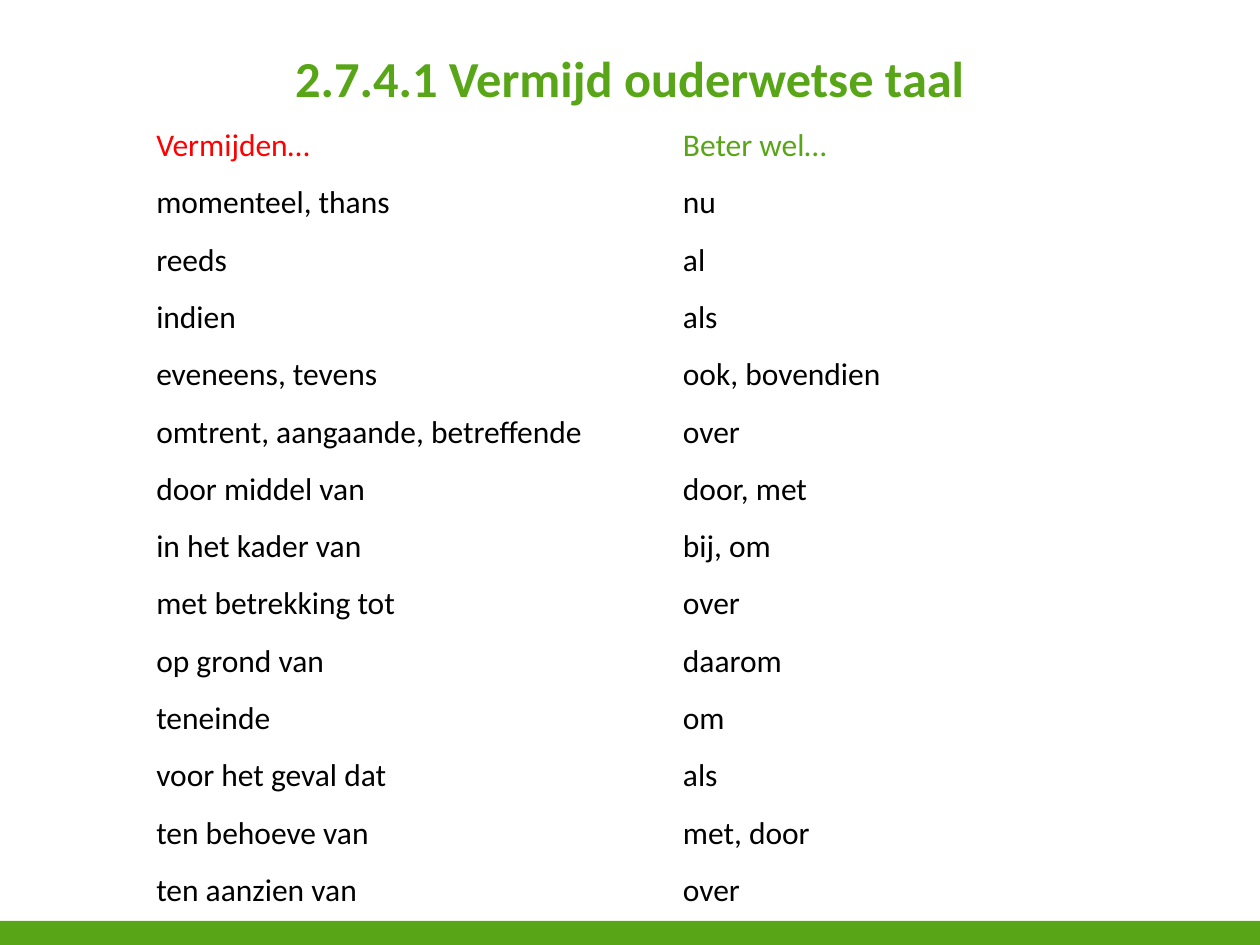
from lxml import etree
from pptx import Presentation
from pptx.dml.color import RGBColor
from pptx.enum.shapes import MSO_SHAPE
from pptx.enum.text import MSO_ANCHOR, PP_ALIGN
from pptx.oxml.ns import qn
from pptx.util import Inches, Pt

RECT = MSO_SHAPE.RECTANGLE
MIDDLE = MSO_ANCHOR.MIDDLE
CENTER = PP_ALIGN.CENTER
LEFT = PP_ALIGN.LEFT
TITLE_ONLY = 5
FONT = "Calibri"
COLORS = {"green": "58A618", "red": "FF0000", "black": "000000", "white": "FFFFFF"}

WORDS = [
    ("Vermijden…", "Beter wel…"),
    ("momenteel, thans", "nu"),
    ("reeds", "al"),
    ("indien", "als"),
    ("eveneens, tevens", "ook, bovendien"),
    ("omtrent, aangaande, betreffende", "over"),
    ("door middel van", "door, met"),
    ("in het kader van", "bij, om"),
    ("met betrekking tot", "over"),
    ("op grond van", "daarom"),
    ("teneinde", "om"),
    ("voor het geval dat", "als"),
    ("ten behoeve van", "met, door"),
    ("ten aanzien van", "over"),
]


def rgb(name):
    return RGBColor.from_string(COLORS[name])


def write(tf, text, size, color, bold=False, align=LEFT):
    p = tf.paragraphs[0]
    p.alignment = align
    r = p.add_run()
    r.text = text
    r.font.name = FONT
    r.font.size = Pt(size)
    r.font.bold = bold
    r.font.color.rgb = rgb(color)


def add_bar(s):
    sp = s.shapes.add_shape(RECT, 0, Inches(7.31), Inches(10), Inches(0.2))
    sp.shadow.inherit = False
    sp.fill.solid()
    sp.fill.fore_color.rgb = rgb("green")
    sp.line.fill.background()


def set_title(s, text):
    sp = s.shapes.title
    sp.left, sp.top, sp.width, sp.height = map(Inches, (0.5, 0.3, 9, 0.63))
    tf = sp.text_frame
    tf.word_wrap = True
    tf.vertical_anchor = MIDDLE
    write(tf, text, 28.8, "green", bold=True, align=CENTER)


def set_borders(cell, bottom):
    tcPr = cell._tc.get_or_add_tcPr()
    for side, width in (("L", 1), ("R", 1), ("T", 1), ("B", bottom)):
        ln = etree.SubElement(tcPr, qn(f"a:ln{side}"), w=str(Pt(width)))
        fill = etree.SubElement(ln, qn("a:solidFill"))
        etree.SubElement(fill, qn("a:srgbClr"), val=COLORS["white"])


def add_word_table(s, rows):
    frame = s.shapes.add_table(len(rows), 2, Inches(1.14), Inches(0.93),
                               Inches(8.36), Inches(6.37))
    table = frame.table
    table.first_row = table.horz_banding = False
    for i, row in enumerate(rows):
        head = i == 0
        colors = ("red", "green") if head else ("black", "black")
        for j, (text, color) in enumerate(zip(row, colors)):
            cell = table.cell(i, j)
            set_borders(cell, 3 if head else 1)
            cell.fill.background()
            cell.vertical_anchor = MIDDLE
            write(cell.text_frame, text, 18, color)


def main():
    prs = Presentation()
    prs.slide_width, prs.slide_height = Inches(10), Inches(7.5)
    s = prs.slides.add_slide(prs.slide_layouts[TITLE_ONLY])
    add_bar(s)
    set_title(s, "2.7.4.1 Vermijd ouderwetse taal")
    add_word_table(s, WORDS)
    prs.save("out.pptx")


if __name__ == "__main__":
    main()
